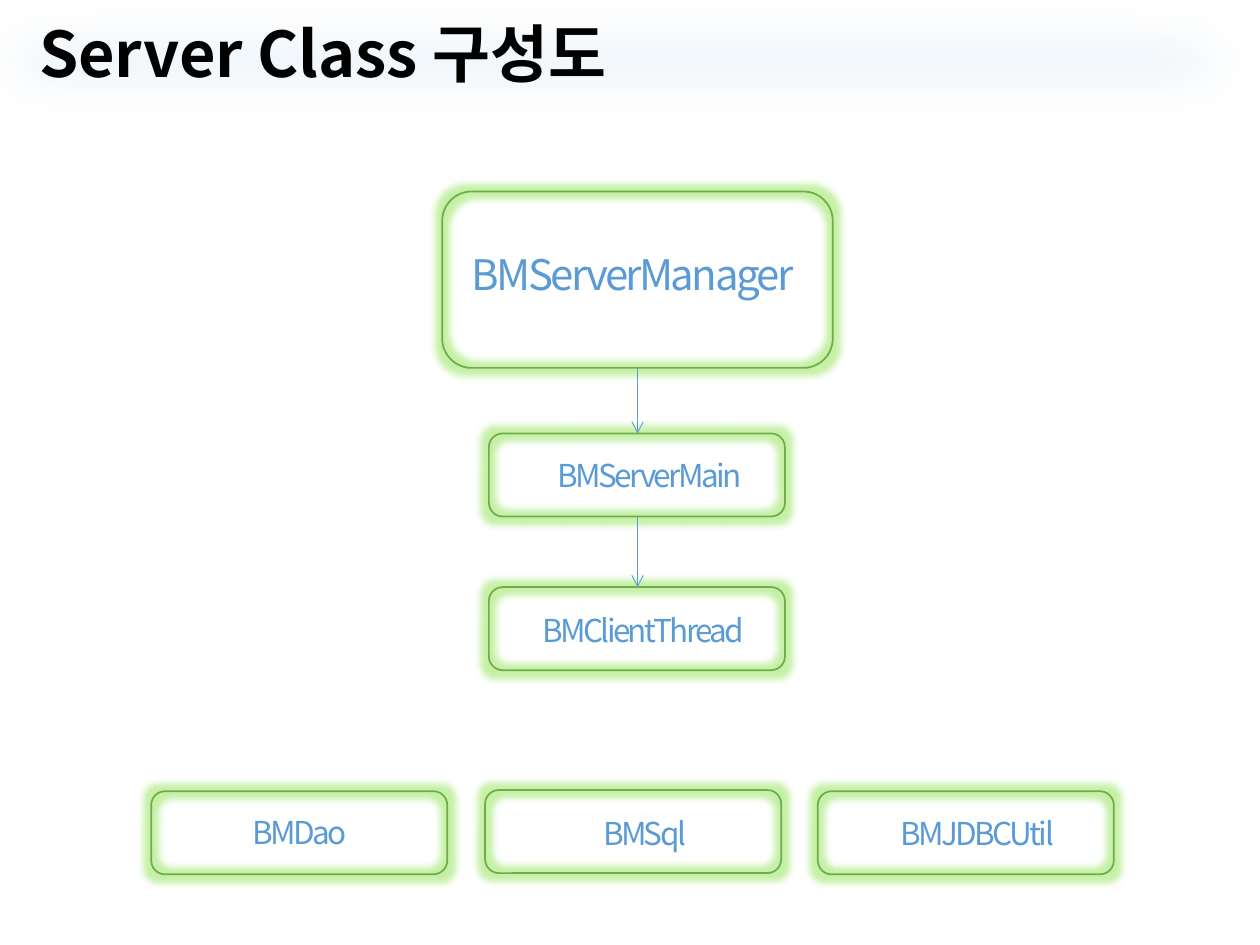
from lxml import etree
from pptx import Presentation
from pptx.dml.color import RGBColor
from pptx.enum import shapes, text
from pptx.oxml import ns
from pptx.util import Inches, Pt

THEME = {
    "font": "Noto Sans CJK KR",
    "black": "000000", "blue": "5B9BD5", "green": "70AD47", "glow": "70DB24",
    "title": 36, "large": 24, "label": 18,
}


def add_xml(parent, tag, **attributes):
    """Append a DrawingML element and return it."""
    element = etree.SubElement(parent, ns.qn(tag))
    for name, value in attributes.items():
        element.set(name, str(value))
    return element


def style_text(shape, size, color):
    """Format the single line of a shape and return its run."""
    span = shape.text_frame.paragraphs[0].runs[0]
    span.font.size = Pt(size)
    span.font.color.rgb = RGBColor.from_string(color)
    span.font.name = THEME["font"]
    add_xml(span.font._element, "a:ea", typeface=THEME["font"])
    return span


deck = Presentation()
deck.slide_width, deck.slide_height = Inches(10), Inches(7.5)
page = deck.slides.add_slide(deck.slide_layouts[5])

# Title with a soft shadow
title = page.shapes.title
title.left, title.top = Inches(0.21), Inches(0.18)
title.width, title.height = Inches(5.29), Inches(0.59)
frame = title.text_frame
frame.text = "Server Class 구성도"
frame.word_wrap = False
frame.auto_size = text.MSO_AUTO_SIZE.NONE
frame.vertical_anchor = text.MSO_ANCHOR.MIDDLE
frame.paragraphs[0].alignment = text.PP_ALIGN.LEFT
frame.paragraphs[0].line_spacing = 0.8
span = style_text(title, THEME["title"], THEME["black"])
span.font.bold = True
effects = etree.Element(ns.qn("a:effectLst"))
shadow = add_xml(effects, "a:outerShdw", blurRad=Pt(4), dist=Pt(3), dir=2700000)
add_xml(add_xml(shadow, "a:srgbClr", val=THEME["black"]), "a:alpha", val=40000)
span.font._element.find(ns.qn("a:latin")).addprevious(effects)

# Pale band with soft edges behind the title
band = page.shapes.add_shape(shapes.MSO_SHAPE.RECTANGLE, Inches(-0.71),
                             Inches(-0.33), Inches(11.15), Inches(1.63))
band.fill.solid()
band.fill.fore_color.rgb = RGBColor.from_string(THEME["blue"])
band.line.fill.background()
color = band._element.spPr.find(ns.qn("a:solidFill"))[0]
add_xml(color, "a:alpha", val=13000)
add_xml(add_xml(band._element.spPr, "a:effectLst"), "a:softEdge", rad=Inches(0.5))
title._element.addprevious(band._element)

# Class boxes: name, box (left, top, width, height), label (left, top, width), size
classes = [
    ("BMServerManager", (3.51, 1.52, 3.1, 1.4), (3.51, 1.92, 3.02), "large"),
    ("BMServerMain", (3.88, 3.44, 2.35, 0.66), (3.23, 3.57, 3.85), "label"),
    ("BMClientThread", (3.88, 4.66, 2.35, 0.66), (3.54, 4.8, 3.13), "label"),
    ("BMDao", (1.2, 6.28, 2.35, 0.66), (1.2, 6.4, 2.35), "label"),
    ("BMSql", (3.85, 6.27, 2.35, 0.66), (3.19, 6.41, 3.85), "label"),
    ("BMJDBCUtil", (6.49, 6.28, 2.35, 0.66), (5.83, 6.41, 3.85), "label"),
]
for name, box_area, label_area, size in classes:
    box = page.shapes.add_shape(shapes.MSO_SHAPE.ROUNDED_RECTANGLE,
                                *map(Inches, box_area))
    box.fill.background()
    box.line.color.rgb = RGBColor.from_string(THEME["green"])
    box.line.width = Pt(1)
    effects = add_xml(box._element.spPr, "a:effectLst")
    glow = add_xml(effects, "a:glow", rad=Pt(8))
    add_xml(add_xml(glow, "a:srgbClr", val=THEME["glow"]), "a:alpha", val=40000)

    height = 0.5 if size == "large" else 0.4
    label = page.shapes.add_textbox(*map(Inches, (*label_area, height)))
    label.text_frame.text = name
    label.text_frame.word_wrap = True
    label.text_frame.paragraphs[0].alignment = text.PP_ALIGN.CENTER
    span = style_text(label, THEME[size], THEME["blue"])
    span.font._element.set("spc", "-150")

# Arrows down the main chain
for start, end in [(2.92, 3.44), (4.1, 4.66)]:
    arrow = page.shapes.add_connector(shapes.MSO_CONNECTOR.STRAIGHT, Inches(5.06),
                                      Inches(start), Inches(5.06), Inches(end))
    arrow.line.color.rgb = RGBColor.from_string(THEME["blue"])
    arrow.line.width = Pt(0.5)
    add_xml(arrow.line._get_or_add_ln(), "a:tailEnd", type="arrow")
    add_xml(arrow._element.spPr, "a:effectLst")

deck.save("out.pptx")
